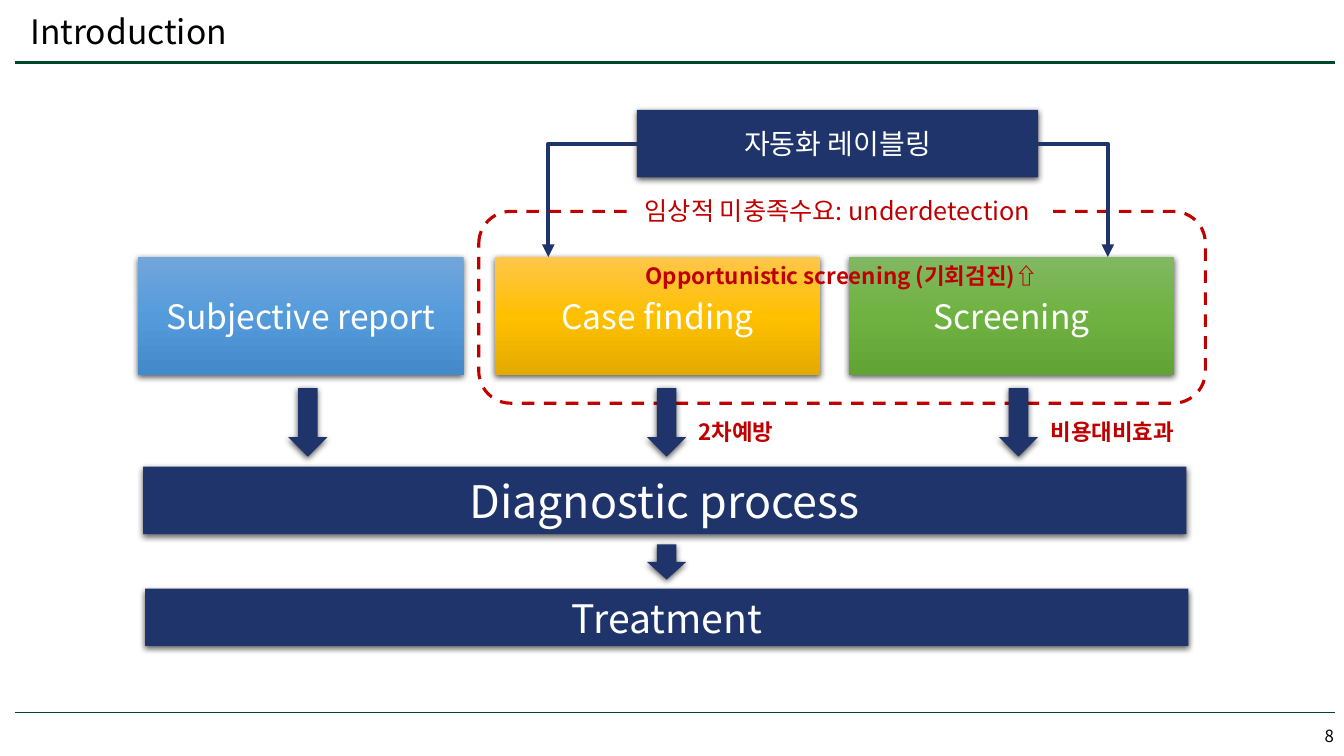
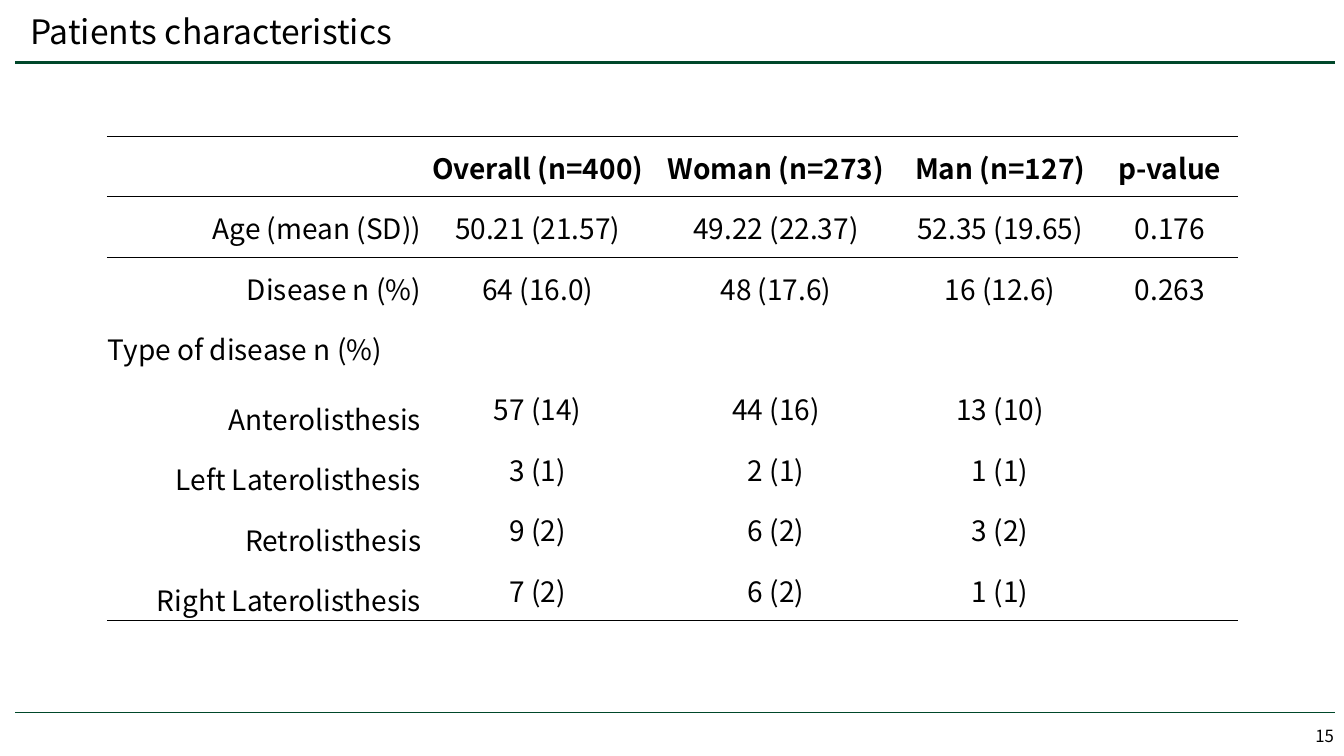
from lxml import etree
from pptx import Presentation
from pptx.dml.color import RGBColor
from pptx.enum.dml import MSO_LINE
from pptx.enum.shapes import MSO_CONNECTOR, MSO_SHAPE
from pptx.enum.text import MSO_ANCHOR, MSO_AUTO_SIZE, PP_ALIGN
from pptx.oxml.ns import qn
from pptx.util import Pt

RECTANGLE = MSO_SHAPE.RECTANGLE
ROUNDED = MSO_SHAPE.ROUNDED_RECTANGLE
DOWN_ARROW = MSO_SHAPE.DOWN_ARROW
STRAIGHT, ELBOW = MSO_CONNECTOR.STRAIGHT, MSO_CONNECTOR.ELBOW
LEFT, CENTER, RIGHT = PP_ALIGN.LEFT, PP_ALIGN.CENTER, PP_ALIGN.RIGHT
MIDDLE, BOTTOM = MSO_ANCHOR.MIDDLE, MSO_ANCHOR.BOTTOM

FONT = "Noto Sans CJK KR"
TITLE_ONLY_LAYOUT = 5
NO_GRID_STYLE = "{2D5ABB26-0587-4C30-8999-92F81FD0307C}"
COLORS = {
    "green": "00472A",
    "navy": "1F346B",
    "red": "C00000",
    "black": "000000",
    "white": "FFFFFF",
}
GRADIENTS = {
    "blue": ("71A6DB", "559BDB", "448ACA"),
    "gold": ("FFC64B", "FFC000", "E3AB00"),
    "leaf": ("81B861", "6FB242", "62A336"),
}

TABLE_ROWS = [
    ("", "Overall (n=400)", "Woman (n=273)", "Man (n=127)", "p-value"),
    ("Age (mean (SD))", "50.21 (21.57)", "49.22 (22.37)", "52.35 (19.65)", "0.176"),
    ("Disease n (%)", "64 (16.0)", "48 (17.6)", "16 (12.6)", "0.263"),
    ("Type of disease n (%)", "", "", "", ""),
    ("Anterolisthesis", "57 (14)", "44 (16)", "13 (10)", ""),
    ("Left Laterolisthesis", "3 (1)", "2 (1)", "1 (1)", ""),
    ("Retrolisthesis", "9 (2)", "6 (2)", "3 (2)", ""),
    ("Right Laterolisthesis", "7 (2)", "6 (2)", "1 (1)", ""),
]
COLUMN_WIDTHS = (225, 165, 175, 145, 97)
SECTION_ROW = 3


def rgb(color):
    return RGBColor.from_string(COLORS[color])


def points(box):
    return [Pt(length) for length in box]


def write(frame, text, size, color="black", align=LEFT, bold=False):
    paragraph = frame.paragraphs[0]
    paragraph.alignment = align
    paragraph.line_spacing = 1.0
    run = paragraph.add_run()
    run.text = text
    font = run.font
    font.name, font.size, font.bold = FONT, Pt(size), bold
    font.color.rgb = rgb(color)
    east_asian = etree.SubElement(run.font._element, qn("a:ea"))
    east_asian.set("typeface", FONT)


def set_frame(frame, wrap=True):
    """Centre the text vertically in a box of fixed size."""
    frame.word_wrap = wrap
    frame.auto_size = MSO_AUTO_SIZE.NONE
    frame.vertical_anchor = MIDDLE
    frame.margin_top = frame.margin_bottom = 0


def add_label(slide, box, text, size, color, align=CENTER, bold=False, fill=None):
    label = slide.shapes.add_textbox(*points(box))
    if fill:
        label.fill.solid()
        label.fill.fore_color.rgb = rgb(fill)
    set_frame(label.text_frame)
    write(label.text_frame, text, size, color, align, bold)


def add_shadow(shape):
    effects = shape.element.spPr.find(qn("a:effectLst"))
    shadow = etree.SubElement(effects, qn("a:outerShdw"), blurRad=str(Pt(4.5)),
                              dist=str(Pt(1.5)), dir="5400000", rotWithShape="0")
    color = etree.SubElement(shadow, qn("a:srgbClr"), val=COLORS["black"])
    etree.SubElement(color, qn("a:alpha"), val="63000")


def fill_gradient(shape, colors):
    """Fill from top to bottom with three evenly spaced stops."""
    shape.fill.gradient()
    shape.fill.gradient_angle = 270
    stops = shape.element.spPr.find(".//" + qn("a:gsLst"))
    for stop in list(stops):
        stops.remove(stop)
    for index, color in enumerate(colors):
        stop = etree.SubElement(stops, qn("a:gs"), pos=str(index * 50000))
        etree.SubElement(stop, qn("a:srgbClr"), val=color)


def add_block(slide, kind, box, fill, text="", size=20):
    """Add a borderless shape with a shadow, filled plainly or by gradient."""
    block = slide.shapes.add_shape(kind, *points(box))
    block.shadow.inherit = False
    block.line.fill.background()
    if fill in GRADIENTS:
        fill_gradient(block, GRADIENTS[fill])
    else:
        block.fill.solid()
        block.fill.fore_color.rgb = rgb(fill)
    add_shadow(block)
    if text:
        set_frame(block.text_frame)
        write(block.text_frame, text, size, "white", CENTER)


def add_line(slide, kind, ends, color, width):
    line = slide.shapes.add_connector(kind, *points(ends))
    line.line.color.rgb = rgb(color)
    line.line.width = Pt(width)
    etree.SubElement(line.element.spPr, qn("a:effectLst"))
    return line


def add_elbow_arrow(slide, ends):
    """Draw sideways, then down to an arrowhead."""
    arrow = add_line(slide, ELBOW, ends, "navy", 3)
    properties = arrow.element.spPr
    properties.find(qn("a:prstGeom")).set("prst", "bentConnector2")
    etree.SubElement(properties.find(qn("a:ln")), qn("a:tailEnd"), type="triangle")


def add_framed_slide(presentation, title, number):
    """Add a slide with its title, two rules and page number."""
    slide = presentation.slides.add_slide(presentation.slide_layouts[TITLE_ONLY_LAYOUT])
    for y, width in ((44.64, 2), (509, 0.5)):
        add_line(slide, STRAIGHT, (10.8, y, 953.3, y), "green", width)
    add_label(slide, (744, 511, 216, 29), number, 12, "black", RIGHT)
    heading = slide.shapes.title
    heading.left, heading.top, heading.width, heading.height = points((14.4, 4.3, 800, 36))
    set_frame(heading.text_frame)
    write(heading.text_frame, title, 24)
    return slide


def add_detection_diagram(slide, left, top):
    def place(x, y, width, height):
        return left + x, top + y, width, height

    card_top, arrow_top, note_top = 105.6, 199.2, 217.2
    need = slide.shapes.add_shape(ROUNDED, *points(place(244, 73, 519, 137)))
    need.shadow.inherit = False
    need.fill.background()
    need.line.color.rgb = rgb("red")
    need.line.width = Pt(2.25)
    need.line.dash_style = MSO_LINE.DASH

    routes = (
        (0.6, 107.9, "blue", "Subjective report"),
        (255.5, 364.2, "gold", "Case finding"),
        (508.2, 615.5, "leaf", "Screening"),
    )
    for card_x, arrow_x, fill, text in routes:
        add_block(slide, RECTANGLE, place(card_x, card_top, 232.6, 84.2), fill, text, 24)
        add_block(slide, DOWN_ARROW, place(arrow_x, arrow_top, 28, 49), "navy")
    add_block(slide, DOWN_ARROW, place(364.2, 310.8, 28, 25.2), "navy")

    steps = (
        ((4.2, 255.4, 745.2, 48.2), "Diagnostic process", 32),
        ((5.7, 342.5, 745.2, 41), "Treatment", 28),
        ((357, 0.5, 286.6, 48.2), "자동화 레이블링", 20),
    )
    for box, text, size in steps:
        add_block(slide, RECTANGLE, place(*box), "navy", text, size)

    add_label(slide, place(352.7, 58, 295.2, 28.8), "임상적 미충족수요: underdetection",
              18, "red", fill="white")
    notes = (
        ((292.2, card_top, 422, 26.6), "Opportunistic screening (기회검진)⇧"),
        ((386.6, note_top, 82, 26.6), "2차예방"),
        ((643.6, note_top, 105.8, 26.6), "비용대비효과"),
    )
    for box, text in notes:
        add_label(slide, place(*box), text, 16, "red", bold=True)

    for start_x, end_x in ((643.6, 693.3), (357, 293.7)):
        add_elbow_arrow(slide, (left + start_x, top + 24.8, left + end_x, top + card_top))


def set_cell_borders(cell, sides):
    properties = cell._tc.get_or_add_tcPr()
    for side in sides:
        line = etree.SubElement(properties, qn("a:ln" + side), w=str(Pt(0.5)))
        fill = etree.SubElement(line, qn("a:solidFill"))
        etree.SubElement(fill, qn("a:srgbClr"), val=COLORS["black"])


def add_patient_table(slide, left, top, width, height):
    last_row = len(TABLE_ROWS) - 1
    frame = slide.shapes.add_table(len(TABLE_ROWS), len(COLUMN_WIDTHS),
                                   *points((left, top, width, height)))
    frame.element.find(".//" + qn("a:tableStyleId")).text = NO_GRID_STYLE
    table = frame.table
    table.first_row = table.horz_banding = False
    for column, share in zip(table.columns, COLUMN_WIDTHS):
        column.width = Pt(width * share / sum(COLUMN_WIDTHS))
    borders = {0: "TB", 1: "T", last_row: "B"}
    for row_index, texts in enumerate(TABLE_ROWS):
        table.rows[row_index].height = Pt(height / len(TABLE_ROWS))
        for column_index, text in enumerate(texts):
            cell = table.cell(row_index, column_index)
            set_cell_borders(cell, borders.get(row_index, ""))
            cell.fill.background()
            cell.margin_left = cell.margin_right = cell.margin_top = Pt(0.7)
            cell.margin_bottom = 0
            is_name = column_index == 0
            is_subtype = is_name and row_index > SECTION_ROW
            cell.vertical_anchor = BOTTOM if is_subtype else MIDDLE
            if not text:
                continue
            align = RIGHT if is_name else CENTER
            if row_index == SECTION_ROW:
                align = LEFT
            write(cell.text_frame, text, 20, align=align, bold=row_index == 0)


def main():
    presentation = Presentation()
    presentation.slide_width, presentation.slide_height = Pt(960), Pt(540)
    introduction = add_framed_slide(presentation, "Introduction", "8")
    add_detection_diagram(introduction, 98, 78)
    patients = add_framed_slide(presentation, "Patients characteristics", "15")
    add_patient_table(patients, 76.3, 97.2, 807.8, 345.6)
    presentation.save("out.pptx")


if __name__ == "__main__":
    main()
